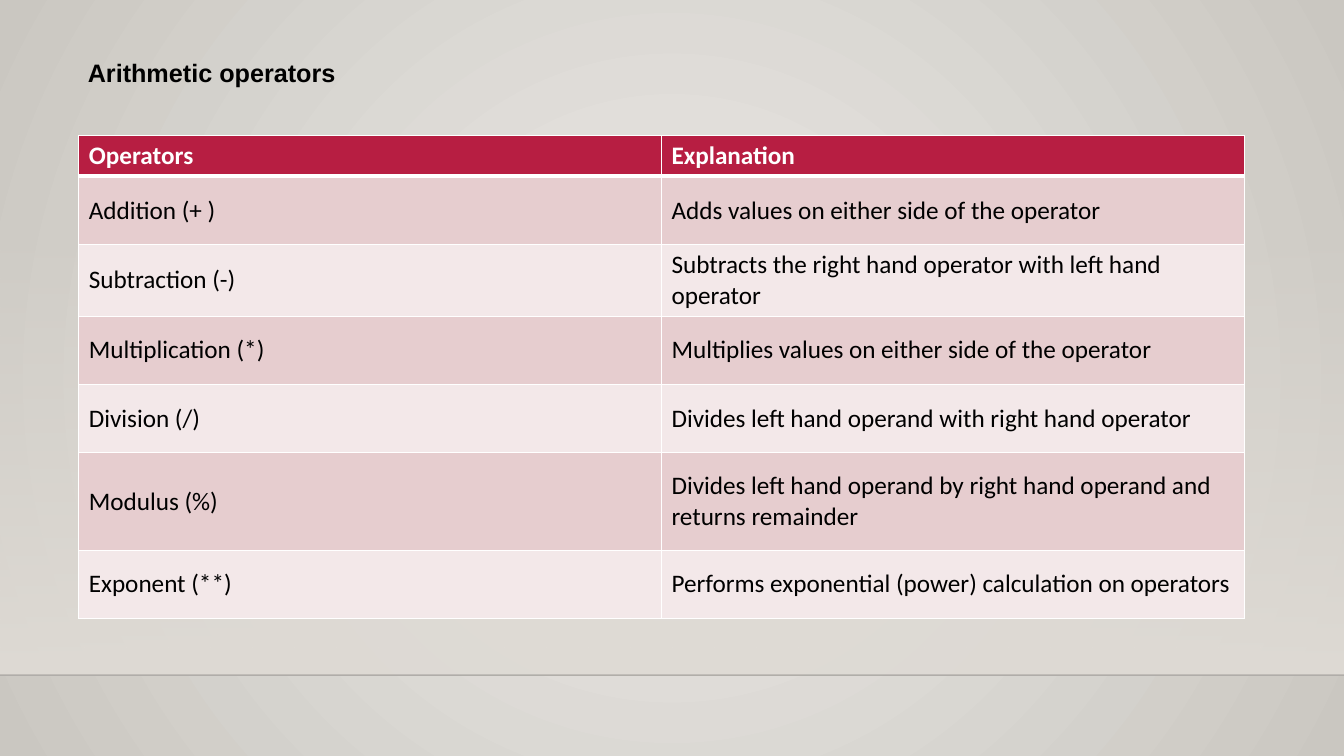
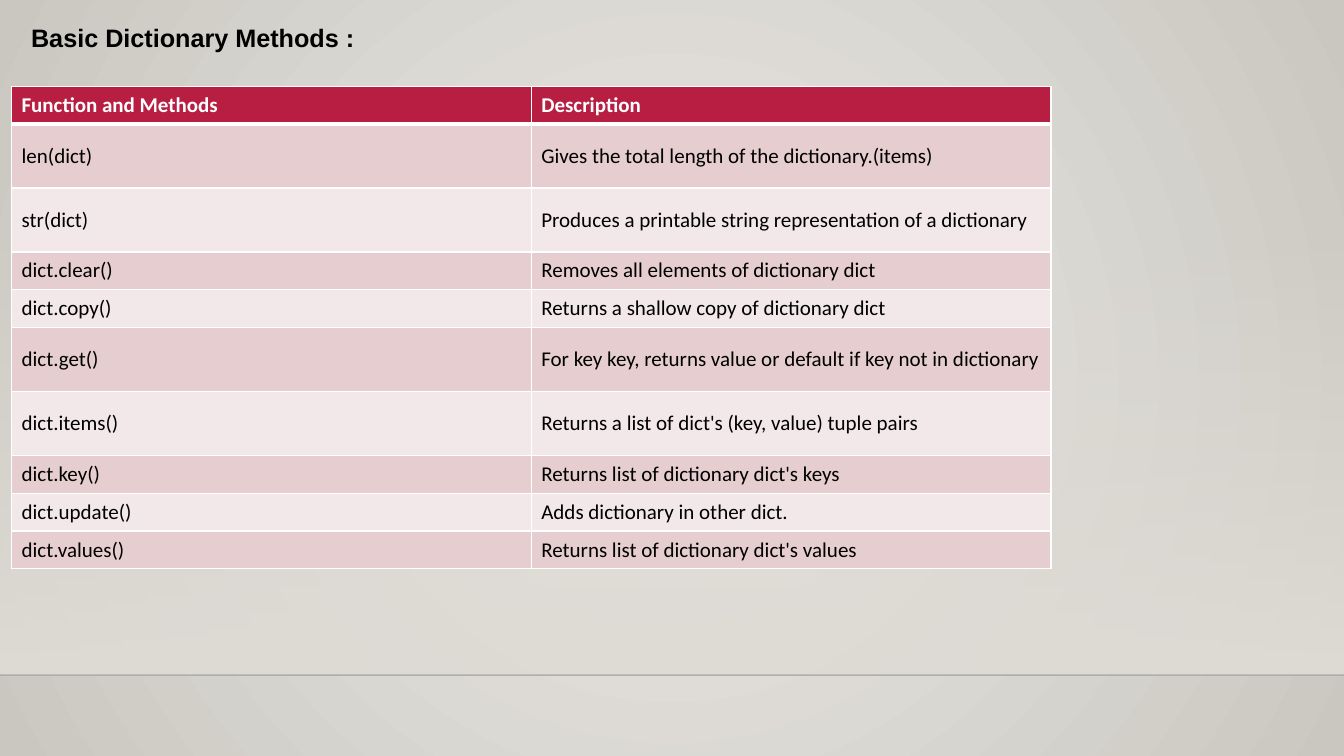
from dataclasses import dataclass

from lxml.etree import SubElement
from pptx import Presentation
from pptx.dml.color import RGBColor
from pptx.enum.shapes import MSO_CONNECTOR, MSO_SHAPE
from pptx.enum.text import MSO_ANCHOR, MSO_AUTO_SIZE, PP_ALIGN
from pptx.oxml.ns import qn
from pptx.util import Pt


@dataclass(frozen=True)
class Theme:
    glow: str = "ECEAE7"
    edge: str = "CAC7C1"
    band: str = "DFDBD5"
    rule: str = "000001"
    ink: str = "000000"
    white: str = "FFFFFF"
    head: str = "B71E42"
    rows: tuple = ("E6CDCF", "F3E8E9")
    title: str = "Arial"
    body: str = "Calibri"
    large: int = 18
    small: int = 15


THEME = Theme()
WIDE, HIGH = 1280, 720
FLOOR = 643

MATHS = [
    ("Operators", "Explanation"),
    ("Addition (+ )", "Adds values on either side of the operator"),
    ("Subtraction (-)", "Subtracts the right hand operator with left hand operator"),
    ("Multiplication (*)", "Multiplies values on either side of the operator"),
    ("Division (/)", "Divides left hand operand with right hand operator"),
    ("Modulus (%)", "Divides left hand operand by right hand operand and returns remainder"),
    ("Exponent (**)", "Performs exponential (power) calculation on operators"),
]

DICTS = [
    ("Function and Methods", "Description"),
    ("len(dict)", "Gives the total length of the dictionary.(items)"),
    ("str(dict)", "Produces a printable string representation of a dictionary"),
    ("dict.clear()", "Removes all elements of dictionary dict"),
    ("dict.copy()", "Returns a shallow copy of dictionary dict"),
    ("dict.get()", "For key key, returns value or default if key not in dictionary"),
    ("dict.items()", "Returns a list of dict's (key, value) tuple pairs"),
    ("dict.key()", "Returns list of dictionary dict's keys"),
    ("dict.update()", "Adds dictionary in other dict."),
    ("dict.values()", "Returns list of dictionary dict's values"),
]


def px(count):
    return count * 9525


def tint(code):
    return RGBColor.from_string(code)


def fade(node, share):
    SubElement(node, qn("a:alpha"), val=str(share * 1000))


def blend(fill, first, last):
    fill.gradient()
    for stop, code, place in zip(fill.gradient_stops, (first, last), (0, 1)):
        stop.color.rgb = tint(code)
        stop.position = place


def write(frame, text, font=THEME.body, size=THEME.large, color=THEME.ink, bold=False):
    line = frame.paragraphs[0]
    line.alignment = PP_ALIGN.LEFT
    run = line.add_run()
    run.text = text
    run.font.name = font
    run.font.size = Pt(size)
    run.font.bold = bold
    run.font.color.rgb = tint(color)


def glow(master):
    blend(master.background.fill, THEME.glow, THEME.edge)
    grad = master.element.find(".//" + qn("a:gradFill"))
    grad.remove(grad.find(qn("a:lin")))
    ring = SubElement(grad, qn("a:path"), path="circle")
    SubElement(ring, qn("a:fillToRect"), l="50000", t="50000", r="50000", b="50000")


def stage(master, slide):
    top = 212
    band = slide.shapes.add_shape(
        MSO_SHAPE.RECTANGLE, 0, px(top), px(WIDE), px(FLOOR - top)
    )
    band.shadow.inherit = False
    band.line.fill.background()
    blend(band.fill, THEME.band, THEME.band)
    band.fill.gradient_angle = 270
    fade(band.element.spPr.find(".//" + qn("a:srgbClr")), 0)

    rule = slide.shapes.add_connector(
        MSO_CONNECTOR.STRAIGHT, 0, px(FLOOR), px(WIDE), px(FLOOR)
    )
    rule.line.width = Pt(1)
    rule.line.color.rgb = tint(THEME.rule)
    props = rule.element.spPr
    fade(props.find(".//" + qn("a:srgbClr")), 20)
    SubElement(props, qn("a:effectLst"))

    tree = master.shapes.element
    for place, part in enumerate((band, rule)):
        part.element.find(".//" + qn("p:cNvPr")).set("id", str(100 + place))
        tree.insert(2 + place, part.element)


def head(slide, text, left, top, width):
    title = slide.shapes.title
    title.left, title.top = px(left), px(top)
    title.width, title.height = px(width), px(38)
    frame = title.text_frame
    frame.word_wrap = True
    frame.auto_size = MSO_AUTO_SIZE.NONE
    frame.vertical_anchor = MSO_ANCHOR.TOP
    write(frame, text, font=THEME.title, bold=True)


def frame_cell(cell, **wide):
    props = cell._tc.get_or_add_tcPr()
    for side in "LRTB":
        line = SubElement(props, qn("a:ln" + side), w=str(Pt(wide.get(side, 1))))
        fill = SubElement(line, qn("a:solidFill"))
        SubElement(fill, qn("a:srgbClr"), val=THEME.white)


def grid(slide, data, left, top, width, rows, size):
    shape = slide.shapes.add_table(
        len(data), 2, px(left), px(top), px(2 * width), px(sum(rows))
    )
    table = shape.table
    for col in table.columns:
        col.width = px(width)
    for r, (texts, high) in enumerate(zip(data, rows)):
        table.rows[r].height = px(high)
        first = r == 0
        edges = {0: {"B": 3}, 1: {"T": 3}}.get(r, {})
        for c, text in enumerate(texts):
            cell = table.cell(r, c)
            frame_cell(cell, **edges)
            cell.fill.solid()
            cell.fill.fore_color.rgb = tint(THEME.head if first else THEME.rows[(r - 1) % 2])
            cell.vertical_anchor = MSO_ANCHOR.MIDDLE
            color = THEME.white if first else THEME.ink
            write(cell.text_frame, text, size=size, color=color, bold=first)


def main():
    deck = Presentation()
    deck.slide_width, deck.slide_height = px(WIDE), px(HIGH)
    master = deck.slide_master
    plain = deck.slide_layouts.get_by_name("Title Only")
    glow(master)

    maths = deck.slides.add_slide(plain)
    stage(master, maths)
    head(maths, "Arithmetic operators", 74, 50, 288)
    grid(maths, MATHS, 75, 129, 555, [37, 65, 65, 65, 65, 93, 65], THEME.large)

    dicts = deck.slides.add_slide(plain)
    head(dicts, "Basic Dictionary Methods :", 20, 16, 335)
    short, tall = 36, 61
    rows = [short, tall, tall, short, short, tall, tall, short, short, short]
    grid(dicts, DICTS, 11, 82, 495, rows, THEME.small)

    deck.save("out.pptx")


if __name__ == "__main__":
    main()
